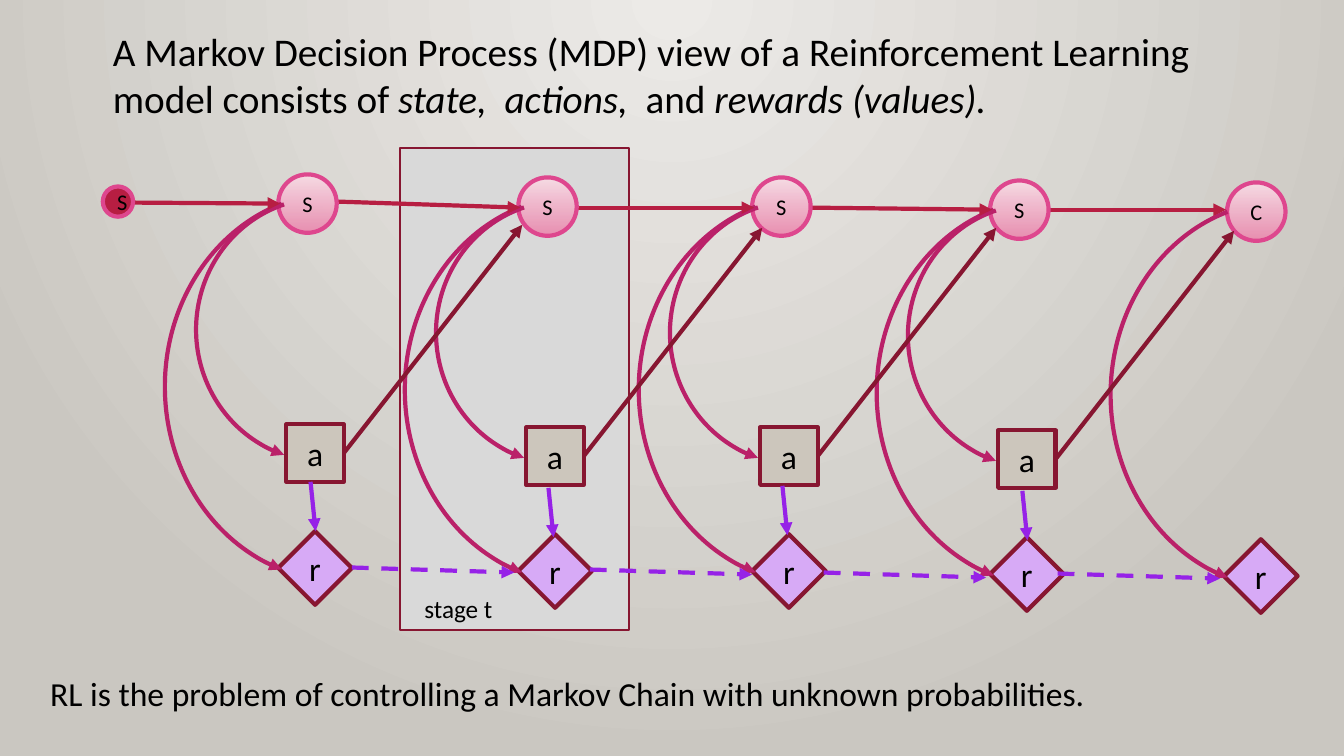
"""Build a slide that shows a Markov decision process as linked stages."""
import pptx
import pptx.dml.color
import pptx.enum.dml
import pptx.enum.shapes
import pptx.enum.text
import pptx.oxml
import pptx.oxml.ns
import pptx.util

Inches = pptx.util.Inches
Pt = pptx.util.Pt
RGBColor = pptx.dml.color.RGBColor
Kind = pptx.enum.shapes.MSO_SHAPE
Align = pptx.enum.text.PP_ALIGN
Anchor = pptx.enum.text.MSO_ANCHOR
qn = pptx.oxml.ns.qn

BLACK = RGBColor(0x00, 0x00, 0x00)
CREAM = RGBColor(0xEC, 0xEA, 0xE7)
STONE = RGBColor(0xCA, 0xC7, 0xC1)
GREY = RGBColor(0xD9, 0xD9, 0xD9)
SAND = RGBColor(0xCC, 0xC6, 0xBC)
WINE = RGBColor(0x87, 0x16, 0x31)
RED = RGBColor(0xB7, 0x1E, 0x42)
PINK = RGBColor(0xDE, 0x47, 0x8E)
PALE = RGBColor(0xF7, 0xDC, 0xE5)
ROSE = RGBColor(0xEA, 0x8A, 0xAE)
BERRY = RGBColor(0xBA, 0x21, 0x69)
LILAC = RGBColor(0xD7, 0xAA, 0xF6)
PURPLE = RGBColor(0x96, 0x22, 0xE7)

STAGES = [(2.76, 1.73), (5.14, 1.76), (7.46, 1.76), (9.82, 1.79), (12.17, 1.81)]
STEPS = [
    (1.33, 2.01, 2.78, 2.02),
    (3.35, 2.00, 5.16, 2.06),
    (5.72, 2.06, 7.48, 2.06),
    (8.04, 2.06, 9.84, 2.08),
    (10.41, 2.08, 12.16, 2.08),
]
GAINS = [(3.49, 5.63), (5.85, 5.65), (8.17, 5.68), (10.49, 5.69)]
DROPS = [(3.08, 4.78), (5.44, 4.84), (7.76, 4.82), (10.14, 4.87)]


def make(tag, **attrs):
    """Return a drawing element with the given attributes."""
    node = pptx.oxml.parse_xml(f"<a:{tag} {pptx.oxml.ns.nsdecls('a')}/>")
    for key, value in attrs.items():
        node.set(key, str(value))
    return node


def write(para, text, size, **looks):
    """Add a run to a paragraph and format its font."""
    run = para.add_run()
    run.text = text
    run.font.color.rgb = BLACK
    looks = {"name": "Calibri", "size": Pt(size), **looks}
    for key, value in looks.items():
        setattr(run.font, key, value)


def tip(shape, end):
    """Put an arrowhead on one end of an outline."""
    shape.element.find(".//" + qn("a:ln")).append(make(end, type="triangle"))


def stroke(shape, color, width=3):
    """Set the colour and width of an outline."""
    shape.line.color.rgb = color
    shape.line.width = Pt(width)


def node(slide, kind, box, fill, edge, text="", size=24, width=3):
    """Add a filled shape with a centred label."""
    shape = slide.shapes.add_shape(kind, *map(Inches, box))
    shape.shadow.inherit = False
    if fill is not None:
        shape.fill.solid()
        shape.fill.fore_color.rgb = fill
    stroke(shape, edge, width)
    if text:
        shape.text_frame.vertical_anchor = Anchor.MIDDLE
        para = shape.text_frame.paragraphs[0]
        para.alignment = Align.CENTER
        write(para, text, size)
    return shape


def blend(fill, colors):
    """Fill with a gradient of two colours."""
    fill.gradient()
    for stop, color in zip(fill.gradient_stops, colors):
        stop.color.rgb = color


def state(slide, x, y, text):
    """Add a round state with a pink gradient."""
    shape = node(slide, Kind.OVAL, (x, y, 0.58, 0.58), None, PINK, text, 16)
    blend(shape.fill, (PALE, ROSE))
    shape.fill.gradient_angle = 270
    shape.element.findall(".//" + qn("a:gs"))[1][0].append(make("alpha", val=92000))


def arrow(slide, ends, color, dash=None):
    """Add a straight arrow."""
    link = slide.shapes.add_connector(
        pptx.enum.shapes.MSO_CONNECTOR.STRAIGHT, *map(Inches, ends))
    stroke(link, color)
    if dash:
        link.line.dash_style = dash
    tip(link, "tailEnd")
    link.element.spPr.append(make("effectLst"))
    return link


def curve(slide, box):
    """Add a curved arrow bending down from a state."""
    arc = slide.shapes.add_shape(Kind.ARC, *map(Inches, box))
    arc.shadow.inherit = False
    arc.fill.background()
    arc.rotation = 270
    for place, value in enumerate((118.38, 205.61)):
        arc.adjustments[place] = value
    stroke(arc, BERRY)
    tip(arc, "headEnd")


def stage(slide, x, y, step, last):
    """Add one stage with its state, action, reward and arrows."""
    state(slide, x, y, "C" if last else "S")
    left = x - 0.03 if last else x
    node(slide, Kind.DIAMOND, (left, y + 3.54, 0.73, 0.73), LILAC, WINE, "r")
    if not last:
        act = node(slide, Kind.RECTANGLE, (x + 0.08, y + 2.48, 0.57, 0.57),
                   SAND, WINE, "a")
        link = arrow(slide, (x + 0.65, y + 2.77, x + 2.42, y + 0.5), WINE)
        link.begin_connect(act, 3)
        curve(slide, (x - 0.86, y + 0.28, 2.61, 2.52))
    curve(slide, (left - 1.32, y + 0.38, 3.84, 3.45))
    arrow(slide, step, RED)


def label(slide, box, text, size, wrap=True):
    """Add a text box with one line of text."""
    frame = slide.shapes.add_textbox(*map(Inches, box)).text_frame
    frame.word_wrap = wrap
    write(frame.paragraphs[0], text, size)


def head(slide):
    """Place and write the title."""
    title = slide.shapes.title
    place = {"left": 1.02, "top": 0.22, "width": 11.65, "height": 1.04}
    for key, value in place.items():
        setattr(title, key, Inches(value))
    frame = title.text_frame
    looks = {"word_wrap": True, "vertical_anchor": Anchor.TOP,
             "auto_size": pptx.enum.text.MSO_AUTO_SIZE.NONE}
    for key, value in looks.items():
        setattr(frame, key, value)
    para = frame.paragraphs[0]
    para.alignment = Align.LEFT
    write(para, "A Markov Decision Process (MDP) view of a Reinforcement "
                "Learning model consists of ", 28)
    write(para, "state,  actions, ", 28, italic=True)
    write(para, " and ", 28)
    write(para, "rewards (values).", 28, italic=True)


def back(slide):
    """Fill the background with a round gradient lit from the top."""
    blend(slide.background.fill, (CREAM, STONE))
    grad = slide.element.find(".//" + qn("a:gradFill"))
    glow = make("path", path="circle")
    glow.append(make("fillToRect", l=43000, t=0, r=43000, b=100000))
    grad.replace(grad.find(qn("a:lin")), glow)


def main():
    """Build and save the slide."""
    deck = pptx.Presentation()
    deck.slide_width, deck.slide_height = Inches(13.33), Inches(7.5)
    slide = deck.slides.add_slide(deck.slide_layouts[5])
    back(slide)
    head(slide)
    node(slide, Kind.RECTANGLE, (3.97, 1.47, 2.27, 4.78), GREY, WINE, width=1.25)
    label(slide, (4.11, 5.84, 0.89, 0.4), "stage t", 18, False)
    for (x, y), step in reversed(list(zip(STAGES, STEPS))):
        stage(slide, x, y, step, (x, y) == STAGES[-1])
    node(slide, Kind.OVAL, (1.02, 1.85, 0.3, 0.3), RED, PINK, "S", 16)
    for x, y in GAINS:
        arrow(slide, (x, y, x + 1.61, y + 0.05), PURPLE,
              pptx.enum.dml.MSO_LINE.DASH)
    for x, y in DROPS:
        arrow(slide, (x, y, x + 0.05, y + 0.49), PURPLE)
    label(slide, (0.4, 6.63, 12.07, 0.91),
          "RL is the problem of controlling a Markov Chain with unknown "
          "probabilities.", 24)
    deck.save("out.pptx")


if __name__ == "__main__":
    main()
